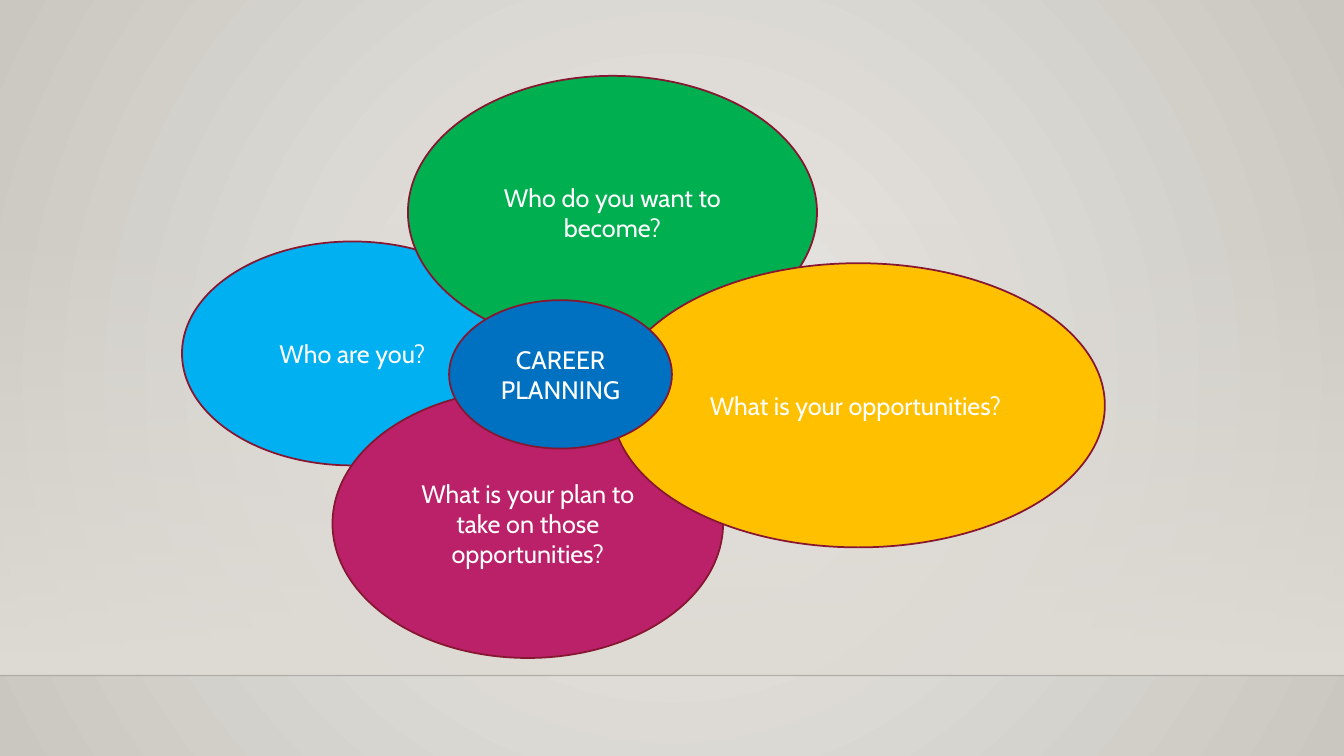
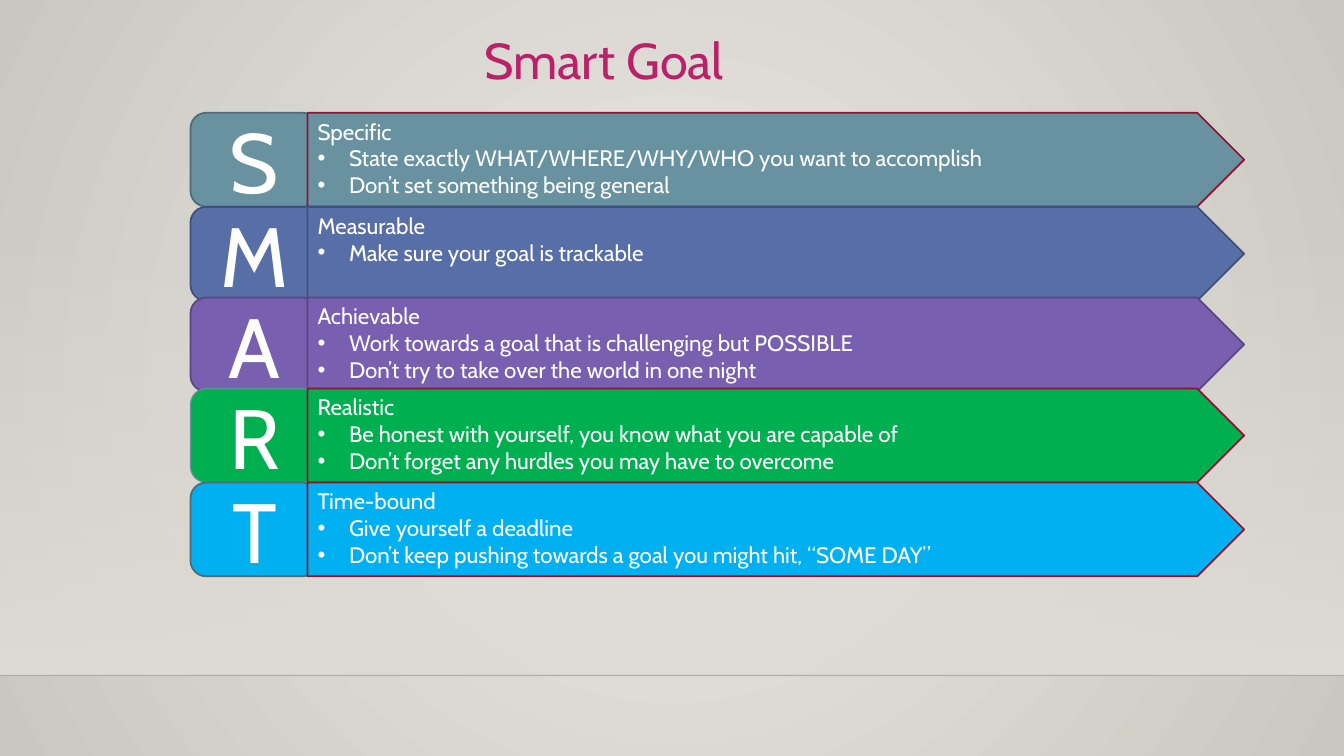
"""Build two career planning slides: an ellipse cluster and a SMART goal list."""
import lxml.etree
import pptx
import pptx.dml.color
import pptx.enum.shapes
import pptx.enum.text
import pptx.oxml.ns
import pptx.util

Pt = pptx.util.Pt
RGBColor = pptx.dml.color.RGBColor
SHAPE = pptx.enum.shapes.MSO_SHAPE
ALIGN = pptx.enum.text.PP_ALIGN
ANCHOR = pptx.enum.text.MSO_ANCHOR
qn = pptx.oxml.ns.qn

WHITE = RGBColor(0xFF, 0xFF, 0xFF)
BG_LIGHT = RGBColor(0xEC, 0xEA, 0xE7)
BG_DARK = RGBColor(0xCA, 0xC7, 0xC1)
WALL = RGBColor(0xDF, 0xDB, 0xD5)
HORIZON = RGBColor(0x00, 0x00, 0x01)
CRIMSON = RGBColor(0x87, 0x16, 0x31)
MAGENTA = RGBColor(0xBA, 0x21, 0x69)
SKY = RGBColor(0x00, 0xB0, 0xF0)
GREEN = RGBColor(0x00, 0xB0, 0x50)
AMBER = RGBColor(0xFF, 0xC0, 0x00)
BLUE = RGBColor(0x00, 0x70, 0xC0)
TEAL = RGBColor(0x68, 0x92, 0xA0)
TEAL_DARK = RGBColor(0x4D, 0x6C, 0x76)
INDIGO = RGBColor(0x58, 0x6E, 0xA6)
INDIGO_DARK = RGBColor(0x41, 0x51, 0x7B)
PURPLE = RGBColor(0x79, 0x5F, 0xAF)
PURPLE_DARK = RGBColor(0x5A, 0x46, 0x81)

FONT = "Cabin"
WIDTH, HEIGHT = 960, 540
WALL_TOP, FLOOR_TOP = 159, 482.5
BORDER = 1.25
BULLET_INDENT = 22.5
LETTER_LEFT, LETTER_WIDTH = 136.1, 91.4
ARROW_LEFT, ARROW_WIDTH = 219.7, 669
ROW_HEIGHT = 67

ELLIPSES = [
    ("Who are you?", SKY, (130, 172.5, 243.4, 160)),
    ("Who do you want to become?", GREEN, (291.4, 54.2, 292.2, 195)),
    ("What is your plan to take on those opportunities?", MAGENTA,
     (237.5, 278, 279, 192)),
    ("What is your opportunities? ", AMBER, (437, 188, 352.2, 203)),
    ("CAREER PLANNING", BLUE, (320.8, 214.4, 159.2, 106)),
]

GOALS = [
    (80.6, TEAL, (TEAL_DARK, BORDER), CRIMSON, "Specific",
     ["State exactly WHAT/WHERE/WHY/WHO you want to accomplish",
      "Don’t set something being general"]),
    (147.8, INDIGO, (INDIGO_DARK, BORDER), INDIGO_DARK, "Measurable",
     ["Make sure your goal is trackable"]),
    (212.6, PURPLE, (PURPLE_DARK, BORDER), PURPLE_DARK, "Achievable",
     ["Work towards a goal that is challenging but POSSIBLE",
      "Don’t try to take over the world in one night"]),
    (277.6, GREEN, (TEAL, 0.75), CRIMSON, "Realistic",
     ["Be honest with yourself, you know what you are capable of",
      "Don’t forget any hurdles you may have to overcome"]),
    (344.7, SKY, (TEAL_DARK, BORDER), CRIMSON, "Time-bound",
     ["Give yourself a deadline",
      "Don’t keep pushing towards a goal you might hit, “SOME DAY”"]),
]


def set_attrs(obj, values):
    """Set each attribute in a dict of format values."""
    for name, value in values.items():
        setattr(obj, name, value)


def set_alpha(clr, percent):
    """Give a colour element an opacity."""
    lxml.etree.SubElement(clr, qn("a:alpha"), val=str(percent * 1000))


def fill_gradient(fill, first, last):
    """Fill with a two-stop gradient running downwards."""
    fill.gradient()
    fill.gradient_angle = 270
    for stop, color, position in zip(fill.gradient_stops, (first, last), (0, 1)):
        stop.color.rgb = color
        stop.position = position


def set_background(master):
    """Give the master a gradient that spreads from the centre."""
    fill_gradient(master.background.fill, BG_LIGHT, BG_DARK)
    lin = master.element.find(".//" + qn("a:lin"))
    grad = lin.getparent()
    grad.remove(lin)
    circle = lxml.etree.SubElement(grad, qn("a:path"), path="circle")
    lxml.etree.SubElement(circle, qn("a:fillToRect"),
                          dict.fromkeys("ltrb", "50000"))


def add_backdrop(s):
    """Add the fading wall and the horizon line."""
    wall = s.shapes.add_shape(SHAPE.RECTANGLE, 0, Pt(WALL_TOP), Pt(WIDTH),
                              Pt(FLOOR_TOP - WALL_TOP))
    wall.shadow.inherit = False
    wall.line.fill.background()
    fill_gradient(wall.fill, WALL, WALL)
    set_alpha(wall.element.find(".//" + qn("a:srgbClr")), 0)
    horizon = s.shapes.add_connector(pptx.enum.shapes.MSO_CONNECTOR.STRAIGHT,
                                     0, Pt(FLOOR_TOP), Pt(WIDTH), Pt(FLOOR_TOP))
    horizon.line.width = Pt(1)
    horizon.line.color.rgb = HORIZON
    set_alpha(horizon.element.find(".//" + qn("a:srgbClr")), 20)
    lxml.etree.SubElement(horizon.element.spPr, qn("a:effectLst"))


def add_slide(prs):
    """Add a blank slide with the shared backdrop."""
    s = prs.slides.add_slide(prs.slide_layouts[6])
    add_backdrop(s)
    return s


def add_paragraph(p, text, size, color=WHITE, align=ALIGN.LEFT):
    """Write one formatted run into a paragraph."""
    p.alignment = align
    r = p.add_run()
    r.text = text
    set_attrs(r.font, {"name": FONT, "size": Pt(size)})
    r.font.color.rgb = color


def add_bullet(p, text, size):
    """Write a bulleted paragraph with a hanging indent."""
    add_paragraph(p, text, size)
    pPr = p._p.get_or_add_pPr()
    indent = Pt(BULLET_INDENT)
    pPr.set("marL", str(indent))
    pPr.set("indent", str(-indent))
    lxml.etree.SubElement(pPr, qn("a:buFont"), typeface="Arial")
    lxml.etree.SubElement(pPr, qn("a:buChar"), char="•")


def add_panel(s, kind, box, fill, line, width=BORDER, anchor=ANCHOR.MIDDLE):
    """Add an outlined shape and return its text frame."""
    sp = s.shapes.add_shape(kind, *map(Pt, box))
    sp.shadow.inherit = False
    sp.fill.solid()
    sp.fill.fore_color.rgb = fill
    sp.line.color.rgb = line
    sp.line.width = Pt(width)
    set_attrs(sp.text_frame, {"word_wrap": True, "vertical_anchor": anchor})
    return sp.text_frame


def add_ellipse(s, text, fill, box):
    """Add a labelled ellipse."""
    tf = add_panel(s, SHAPE.OVAL, box, fill, CRIMSON)
    add_paragraph(tf.paragraphs[0], text, 18, align=ALIGN.CENTER)


def add_goal(s, top, fill, letter_line, arrow_line, name, advice):
    """Add a goal row: an initial and an arrow with advice."""
    tf = add_panel(s, SHAPE.ROUNDED_RECTANGLE,
                   (LETTER_LEFT, top, LETTER_WIDTH, ROW_HEIGHT), fill, *letter_line)
    add_paragraph(tf.paragraphs[0], name[0], 60, align=ALIGN.CENTER)
    tf = add_panel(s, SHAPE.PENTAGON, (ARROW_LEFT, top, ARROW_WIDTH, ROW_HEIGHT),
                   fill, arrow_line, anchor=ANCHOR.TOP)
    add_paragraph(tf.paragraphs[0], name, 16)
    for text in advice:
        add_bullet(tf.add_paragraph(), text, 16)


def add_title(s, text):
    """Add the slide title."""
    tf = s.shapes.add_textbox(*map(Pt, (339, 17.3, 376.6, 52))).text_frame
    tf.word_wrap = True
    add_paragraph(tf.paragraphs[0], text, 36, MAGENTA)


def main():
    """Build and save the slides."""
    prs = pptx.Presentation()
    set_attrs(prs, {"slide_width": Pt(WIDTH), "slide_height": Pt(HEIGHT)})
    set_background(prs.slide_master)
    s = add_slide(prs)
    for ellipse in ELLIPSES:
        add_ellipse(s, *ellipse)
    s = add_slide(prs)
    for goal in GOALS:
        add_goal(s, *goal)
    add_title(s, "Smart Goal")
    prs.save("out.pptx")


if __name__ == "__main__":
    main()
